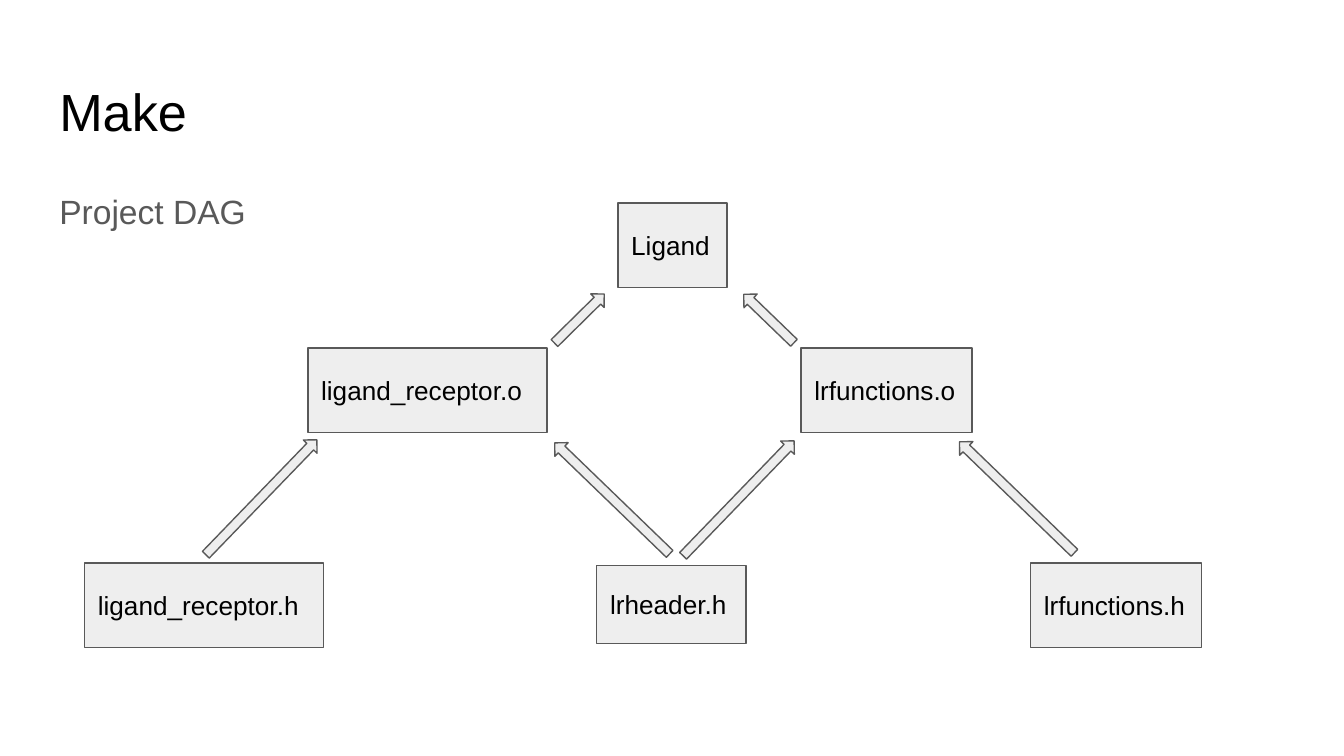
import pptx
import pptx.util
import pptx.dml.color
import pptx.enum.shapes
import pptx.enum.text
import pptx.oxml.ns
from dataclasses import dataclass
from lxml import etree

Cm, Pt = pptx.util.Cm, pptx.util.Pt
SHAPE = pptx.enum.shapes.MSO_SHAPE
ANCHOR = pptx.enum.text.MSO_ANCHOR


@dataclass(frozen=True)
class Theme:
    font: str = "Arial"
    ink: str = "000000"
    grey: str = "595959"
    fill: str = "EEEEEE"
    title_size: int = 28
    body_size: int = 18
    node_size: int = 14
    outline: float = 0.75
    inset: float = 0.25


class DiagramPage:
    def __init__(self, page, theme):
        self.page = page
        self.theme = theme

    def label(self, shape, text, size, color, anchor):
        frame = shape.text_frame
        frame.text = text
        frame.word_wrap = True
        frame.auto_size = pptx.enum.text.MSO_AUTO_SIZE.NONE
        frame.vertical_anchor = anchor
        frame.margin_left = frame.margin_right = Cm(self.theme.inset)
        frame.margin_top = frame.margin_bottom = Cm(self.theme.inset)
        para = frame.paragraphs[0]
        para.alignment = pptx.enum.text.PP_ALIGN.LEFT
        para.space_before = Pt(0)
        font = para.runs[0].font
        font.name, font.size = self.theme.font, Pt(size)
        font.color.rgb = pptx.dml.color.RGBColor.from_string(color)
        return para

    def placeholder(self, index, text, bounds, size, color):
        box = self.page.placeholders[index]
        box.left, box.top, box.width, box.height = map(Cm, bounds)
        return self.label(box, text, size, color, ANCHOR.TOP)

    def title(self, text, bounds):
        self.placeholder(0, text, bounds, self.theme.title_size, self.theme.ink)

    def body(self, text, bounds):
        para = self.placeholder(1, text, bounds, self.theme.body_size, self.theme.grey)
        para.line_spacing = 1.15
        para.space_after = Pt(16)
        # Plain paragraph: no bullet, no indent
        properties = para._p.get_or_add_pPr()
        properties.set("marL", "0")
        properties.set("indent", "0")
        etree.SubElement(properties, pptx.oxml.ns.qn("a:buNone"))

    def shape(self, kind, bounds):
        shape = self.page.shapes.add_shape(kind, *map(Cm, bounds))
        shape.shadow.inherit = False
        shape.fill.solid()
        shape.fill.fore_color.rgb = pptx.dml.color.RGBColor.from_string(self.theme.fill)
        shape.line.color.rgb = pptx.dml.color.RGBColor.from_string(self.theme.grey)
        shape.line.width = Pt(self.theme.outline)
        return shape

    def node(self, text, left, top, width, height=1.6):
        box = self.shape(SHAPE.RECTANGLE, (left, top, width, height))
        self.label(box, text, self.theme.node_size, self.theme.ink, ANCHOR.MIDDLE)

    def arrow(self, center_x, center_y, length, angle, thickness=0.36):
        left, top = center_x - length / 2, center_y - thickness / 2
        arrow = self.shape(SHAPE.RIGHT_ARROW, (left, top, length, thickness))
        arrow.rotation = angle


deck = pptx.Presentation()
deck.slide_width, deck.slide_height = Cm(25.4), Cm(14.29)
dag = DiagramPage(deck.slides.add_slide(deck.slide_layouts[1]), Theme())

# Heading
dag.title("Make", (0.87, 1.24, 23.67, 1.6))
dag.body("Project DAG", (0.87, 3.25, 23.67, 9.5))

# Files: program, objects, headers
object_top, header_top = 6.58, 10.64
receptor_width, functions_width = 4.52, 3.23
dag.node("Ligand", 11.68, 3.84, 2.06)
dag.node("ligand_receptor.o", 5.82, object_top, receptor_width)
dag.node("lrfunctions.o", 15.14, object_top, functions_width)
dag.node("ligand_receptor.h", 1.6, header_top, receptor_width)
dag.node("lrfunctions.h", 19.48, header_top, functions_width)
dag.node("lrheader.h", 11.28, 10.69, 2.82, 1.47)

# Dependencies
up_right, up_left = 314, 224
short, long = 1.32, 3.02
for center_x, center_y, length, angle in (
    (10.95, 6.02, short, 315.4),
    (14.53, 6.02, short, up_left),
    (19.22, 9.4, long, up_left),
    (4.94, 9.4, long, up_right),
    (13.96, 9.42, long, up_right),
    (11.57, 9.42, long, up_left),
):
    dag.arrow(center_x, center_y, length, angle)

deck.save("out.pptx")
